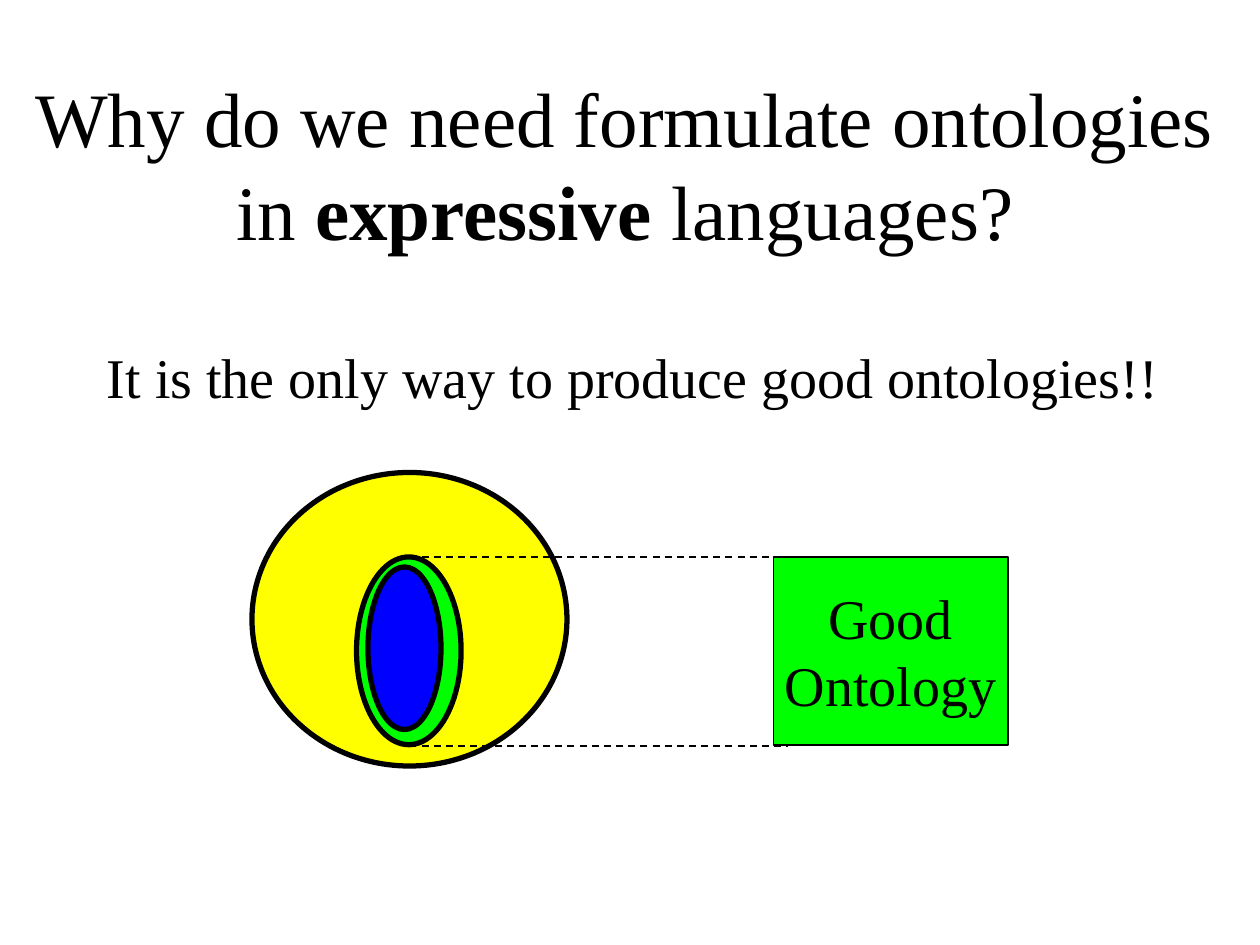
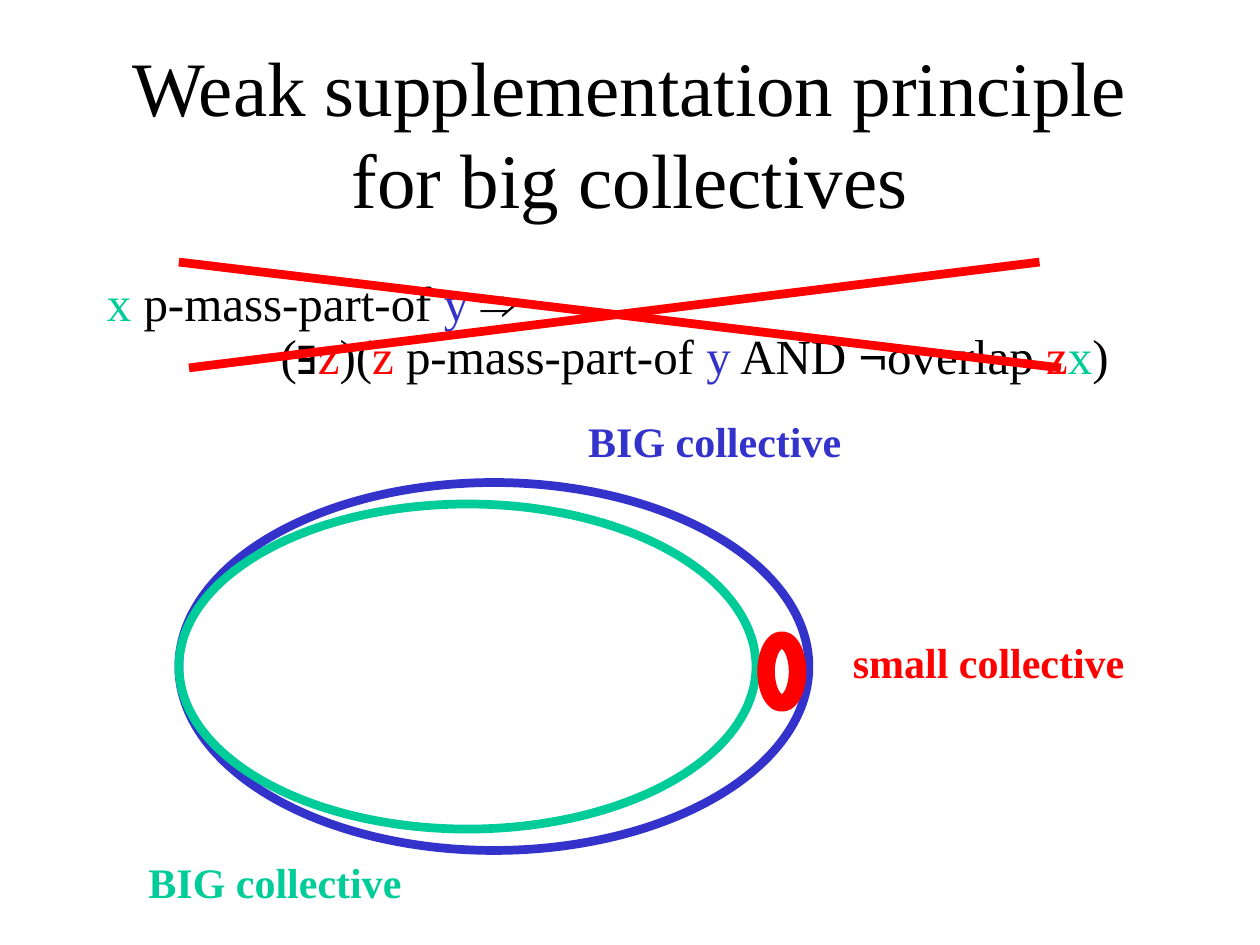
from dataclasses import dataclass

from lxml import etree
from pptx import Presentation
from pptx.dml.color import RGBColor
from pptx.enum import dml, shapes, text
from pptx.oxml.ns import qn
from pptx.util import Inches, Pt


@dataclass(frozen=True)
class Theme:
    font: str = "Times New Roman"
    symbol_font: str = "Arial"
    title: int = 44
    body: int = 32
    formula: int = 28
    label: int = 24
    black: str = "000000"
    yellow: str = "FFFF00"
    green: str = "00FF00"
    blue: str = "0000FF"
    indigo: str = "3333CC"
    teal: str = "00CC99"
    red: str = "FF0000"


theme = Theme()


def write(shape, *paragraphs, size, color=theme.black, bold=False, align=text.PP_ALIGN.LEFT,
          anchor=text.MSO_ANCHOR.TOP, wrap=True, before=0, spacing=1.0, indents=()):
    """Fill a shape; a paragraph is a list of (text, color, bold, font), later parts optional."""
    frame = shape.text_frame
    frame.auto_size = text.MSO_AUTO_SIZE.NONE
    frame.word_wrap, frame.vertical_anchor = wrap, anchor
    for index, parts in enumerate(paragraphs):
        paragraph = frame.add_paragraph() if index else frame.paragraphs[0]
        paragraph.alignment, paragraph.line_spacing = align, spacing
        paragraph.space_before = Pt(0 if index else before)
        if indents:
            paragraph._p.get_or_add_pPr().set("marL", str(Inches(indents[index])))
        for words, *own in parts:
            own_color, own_bold, own_font = own + [color, bold, theme.font][len(own):]
            run = paragraph.add_run()
            run.text = words
            run.font.name, run.font.size, run.font.bold = own_font, Pt(size), own_bold
            run.font.color.rgb = RGBColor.from_string(own_color)


def draw(slide, kind, box, color, width, fill=None, dashed=False):
    """Draw a preset shape in left, top, width, height, or a line from x, y to x, y."""
    lengths = [Inches(value) for value in box]
    if isinstance(kind, shapes.MSO_CONNECTOR):
        item = slide.shapes.add_connector(kind, *lengths)
        etree.SubElement(item._element.spPr, qn("a:effectLst"))
    else:
        item = slide.shapes.add_shape(kind, *lengths)
        item.shadow.inherit = False
        if fill:
            item.fill.solid()
            item.fill.fore_color.rgb = RGBColor.from_string(fill)
        else:
            item.fill.background()
    item.line.color.rgb = RGBColor.from_string(color)
    item.line.width = Pt(width)
    if dashed:
        item.line.dash_style = dml.MSO_LINE.DASH
    return item


oval, rectangle = shapes.MSO_SHAPE.OVAL, shapes.MSO_SHAPE.RECTANGLE
straight = shapes.MSO_CONNECTOR.STRAIGHT
centered = {"align": text.PP_ALIGN.CENTER, "anchor": text.MSO_ANCHOR.MIDDLE}

deck = Presentation()
deck.slide_width, deck.slide_height = Inches(10), Inches(7.5)

# Both slides and their titles
titles = [
    ((0.17, 0.67, 9.58, 1.25), [("Why do we need formulate ontologies in ",),
                                ("expressive", theme.black, True), (" languages?",)]),
    ((0.75, 0.42, 8.5, 1.25), [("Weak supplementation principle for big collectives",)]),
]
for box, heading in titles:
    title = deck.slides.add_slide(deck.slide_layouts[5]).shapes.title
    title.left, title.top, title.width, title.height = map(Inches, box)
    write(title, heading, size=theme.title, **centered)
expressive, supplementation = deck.slides

# Slide 1: answer
answer = expressive.shapes.add_textbox(Inches(0.75), Inches(2.67), Inches(8.83), Inches(0.83))
write(answer, [("It is the only way to produce good ontologies!!",)], size=theme.body, before=8)

# Slide 1: nested sets of models
for box, fill in [((2, 3.75, 2.5, 2.33), theme.yellow),
                  ((2.83, 4.42, 0.83, 1.49), theme.green),
                  ((2.92, 4.5, 0.58, 1.29), theme.blue)]:
    draw(expressive, oval, box, theme.black, 3, fill)

# Slide 1: projection of the green set onto the good ontology
for level in (4.42, 5.92):
    draw(expressive, straight, (3.25, level, 6.25, level), theme.black, 1, dashed=True)
good_ontology = draw(expressive, rectangle, (6.14, 4.42, 1.86, 1.49), theme.black, 1, theme.green)
write(good_ontology, [("Good",)], [("Ontology",)], size=theme.body, wrap=False, **centered)

# Slide 2: formula, with one colour for each variable
x, y, z = ("x", theme.teal), ("y", theme.indigo), ("z", theme.red)
part_of = (" p-mass-part-of ",)
implies, exists, negation = [(sign, theme.black, False, theme.symbol_font) for sign in "⇒∃¬"]
formula = supplementation.shapes.add_textbox(Inches(0.75), Inches(2.17), Inches(8.5), Inches(1))
write(formula,
      [x, part_of, y, (" ",), implies],
      [("(",), exists, z, (")(",), z, part_of, y, (" AND ",), negation, ("overlap ",), z, x,
       (")",)],
      size=theme.formula, before=7, spacing=0.9, indents=(0, 1.38))

# Slide 2: collectives and their labels
collectives = [
    ((1.42, 3.83, 5, 2.92), 5, theme.indigo, "BIG collective", (4.57, 3.25, 2.21, 0.5)),
    ((1.42, 4, 4.58, 2.58), 5, theme.teal, "BIG collective", (1.08, 6.75, 2.21, 0.5)),
    ((6.08, 5.08, 0.25, 0.5), 10, theme.red, "small collective", (6.67, 5, 2.35, 0.5)),
]
for outline, width, color, name, place in collectives:
    draw(supplementation, oval, outline, color, width)
    label = supplementation.shapes.add_textbox(*map(Inches, place))
    write(label, [(name,)], size=theme.label, color=color, bold=True, wrap=False)

# Slide 2: cross through the formula
for stroke in [(1.42, 2.08, 8.42, 2.92), (1.5, 2.92, 8.25, 2.08)]:
    draw(supplementation, straight, stroke, theme.red, 5)

deck.save("out.pptx")
